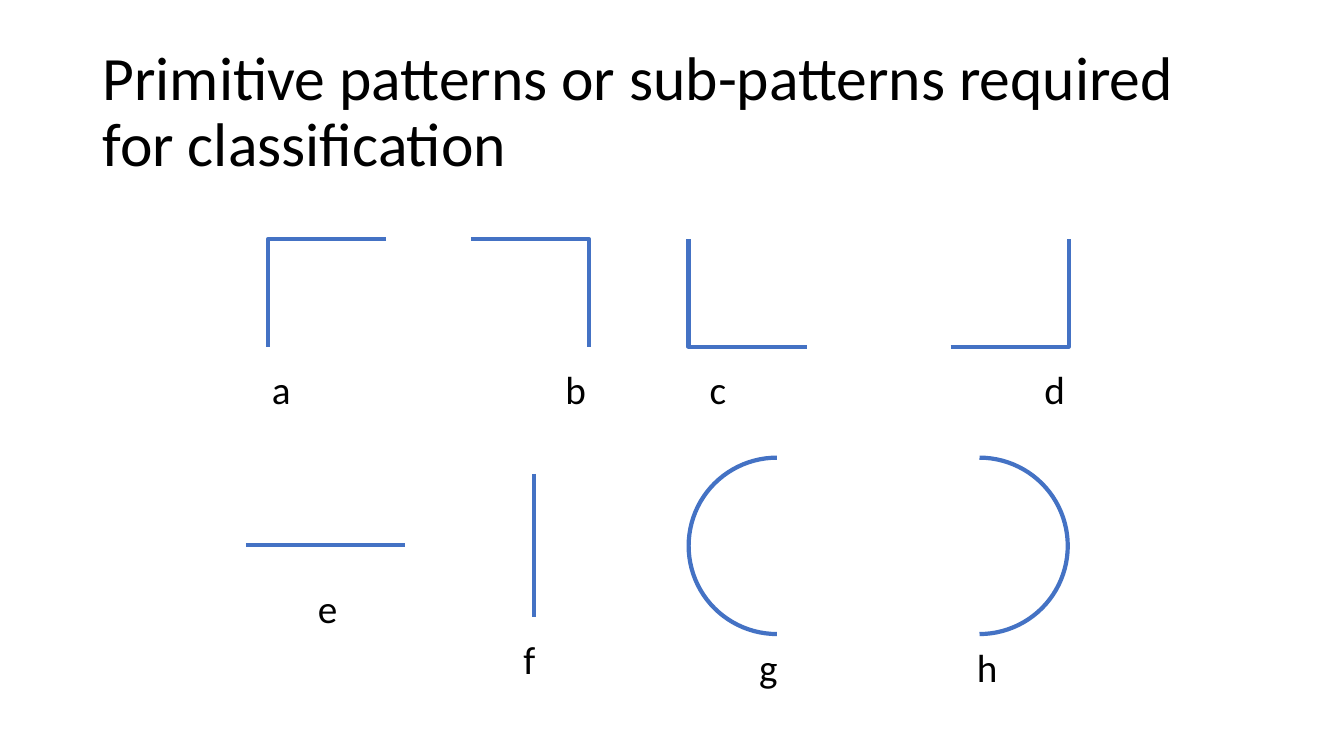
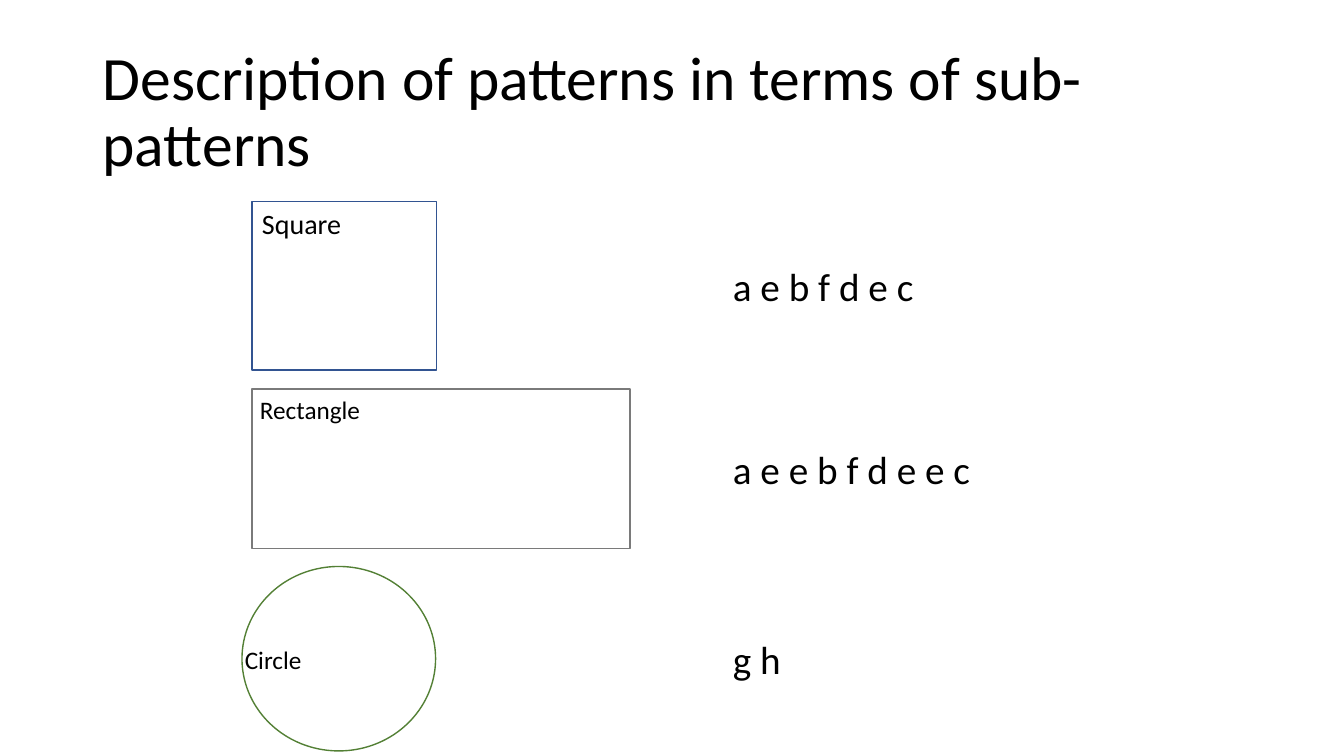
from typing import NamedTuple

from lxml import etree
from pptx import Presentation
from pptx.dml.color import RGBColor
from pptx.enum.shapes import MSO_CONNECTOR, MSO_SHAPE
from pptx.enum.text import MSO_ANCHOR, MSO_AUTO_SIZE, PP_ALIGN
from pptx.oxml.ns import qn
from pptx.util import Inches, Pt

LEFT, CENTER = PP_ALIGN.LEFT, PP_ALIGN.CENTER
MIDDLE, TOP = MSO_ANCHOR.MIDDLE, MSO_ANCHOR.TOP
FIT_SHAPE, NO_FIT = MSO_AUTO_SIZE.SHAPE_TO_FIT_TEXT, MSO_AUTO_SIZE.NONE
RECTANGLE, OVAL, ARC = MSO_SHAPE.RECTANGLE, MSO_SHAPE.OVAL, MSO_SHAPE.ARC
STRAIGHT = MSO_CONNECTOR.STRAIGHT

# Shared style
FONT = "Calibri"
BLACK, BLUE = "000000", "4472C4"
DARK_BLUE, GRAY, GREEN = "325491", "7A7A7A", "538035"
STROKE_WIDTH, OUTLINE_WIDTH = 3, 1
TITLE_SIZE, LABEL_SIZE = 44, 28
LABEL_WIDTH, LABEL_HEIGHT = 0.58, 0.57

# Primitive patterns
ARM_X, ARM_Y = 1.17, 1.07
CORNER_TOP = 2.37
CORNER_BOTTOM = CORNER_TOP + ARM_Y
ARC_TOP, ARC_DIAMETER = 4.54, 1.75
ARC_UNITS_PER_DEGREE = 0.6  # arc angles in 60000ths, adjustments in 100000ths

# Descriptions
DESCRIPTION_LEFT, DESCRIPTION_WIDTH = 7.17, 3.75
NAME_WIDTH = 2.42


class Corner(NamedTuple):
    x: float
    y: float
    arm_x: float
    arm_y: float


class Stroke(NamedTuple):
    start_x: float
    start_y: float
    end_x: float
    end_y: float


class HalfCircle(NamedTuple):
    left: float
    start_degrees: int
    end_degrees: int


class Label(NamedTuple):
    text: str
    left: float
    top: float


class Pattern(NamedTuple):
    kind: int
    box: tuple[float, float, float, float]
    color: str
    name: str
    name_left: float
    name_top: float
    name_height: float
    name_size: int
    description: str
    description_top: float


CORNERS = [
    Corner(2.66, CORNER_TOP, ARM_X, ARM_Y),
    Corner(5.84, CORNER_TOP, -ARM_X, ARM_Y),
    Corner(6.83, CORNER_BOTTOM, ARM_X, -ARM_Y),
    Corner(10.6, CORNER_BOTTOM, -ARM_X, -ARM_Y),
]
STROKES = [Stroke(2.44, 5.41, 4.02, 5.41), Stroke(5.3, 4.7, 5.3, 6.12)]
HALF_CIRCLES = [HalfCircle(6.83, 90, 270), HalfCircle(8.84, 270, 90)]
LABELS = [
    Label("a", 2.5, 3.58),
    Label("b", 5.42, 3.58),
    Label("c", 6.83, 3.58),
    Label("d", 10.17, 3.58),
    Label("e", 2.96, 5.75),
    Label("f", 4.96, 6.25),
    Label("g", 7.33, 6.33),
    Label("h", 9.5, 6.33),
]
PATTERNS = [
    Pattern(RECTANGLE, (2.5, 2, 1.83, 1.67), DARK_BLUE,
            "Square", 2.5, 2, 0.44, 20, "a e b f d e c", 2.55),
    Pattern(RECTANGLE, (2.5, 3.86, 3.75, 1.58), GRAY,
            "Rectangle", 2.48, 3.86, 0.4, 18, "a e e b f d e e c", 4.37),
    Pattern(OVAL, (2.4, 5.62, 1.92, 1.83), GREEN,
            "Circle", 2.33, 6.34, 0.4, 18, "g h", 6.25),
]


def rgb(color: str) -> RGBColor:
    return RGBColor.from_string(color)


def set_line(line, color: str, width: float) -> None:
    line.color.rgb = rgb(color)
    line.width = Pt(width)


def outline(shape, color: str, width: float) -> None:
    shape.shadow.inherit = False
    shape.fill.background()
    set_line(shape.line, color, width)


def add_text(slide, text: str, left: float, top: float, width: float, height: float,
             size: int, alignment=LEFT, anchor=TOP, fit=FIT_SHAPE):
    box = slide.shapes.add_textbox(Inches(left), Inches(top), Inches(width), Inches(height))
    frame = box.text_frame
    frame.word_wrap = True
    frame.auto_size = fit
    frame.vertical_anchor = anchor
    paragraph = frame.paragraphs[0]
    paragraph.text = text
    paragraph.alignment = alignment
    paragraph.font.name = FONT
    paragraph.font.size = Pt(size)
    paragraph.font.color.rgb = rgb(BLACK)
    return paragraph


def add_titled_slide(presentation, title: str):
    slide = presentation.slides.add_slide(presentation.slide_layouts[6])
    paragraph = add_text(slide, title, 0.92, 0.4, 11.5, 1.45, TITLE_SIZE,
                         anchor=MIDDLE, fit=NO_FIT)
    paragraph.line_spacing = 0.9
    return slide


def add_corner(slide, corner: Corner) -> None:
    x, y = Inches(corner.x), Inches(corner.y)
    builder = slide.shapes.build_freeform(x + Inches(corner.arm_x), y)
    builder.add_line_segments([(x, y), (x, y + Inches(corner.arm_y))], close=False)
    outline(builder.convert_to_shape(), BLUE, STROKE_WIDTH)


def add_stroke(slide, stroke: Stroke) -> None:
    connector = slide.shapes.add_connector(STRAIGHT, *(Inches(value) for value in stroke))
    set_line(connector.line, BLUE, STROKE_WIDTH)
    etree.SubElement(connector._element.spPr, qn("a:effectLst"))


def add_half_circle(slide, half: HalfCircle) -> None:
    shape = slide.shapes.add_shape(ARC, Inches(half.left), Inches(ARC_TOP),
                                   Inches(ARC_DIAMETER), Inches(ARC_DIAMETER))
    shape.adjustments[0] = half.start_degrees * ARC_UNITS_PER_DEGREE
    shape.adjustments[1] = half.end_degrees * ARC_UNITS_PER_DEGREE
    outline(shape, BLUE, STROKE_WIDTH)


def add_pattern(slide, pattern: Pattern) -> None:
    shape = slide.shapes.add_shape(pattern.kind, *(Inches(value) for value in pattern.box))
    outline(shape, pattern.color, OUTLINE_WIDTH)
    add_text(slide, pattern.name, pattern.name_left, pattern.name_top,
             NAME_WIDTH, pattern.name_height, pattern.name_size)
    add_text(slide, pattern.description, DESCRIPTION_LEFT, pattern.description_top,
             DESCRIPTION_WIDTH, LABEL_HEIGHT, LABEL_SIZE)


def build_primitives(presentation) -> None:
    slide = add_titled_slide(
        presentation, "Primitive patterns or sub-patterns required for classification")
    for corner in CORNERS:
        add_corner(slide, corner)
    for stroke in STROKES:
        add_stroke(slide, stroke)
    for half in HALF_CIRCLES:
        add_half_circle(slide, half)
    for label in LABELS:
        add_text(slide, label.text, label.left, label.top,
                 LABEL_WIDTH, LABEL_HEIGHT, LABEL_SIZE, CENTER)


def build_descriptions(presentation) -> None:
    slide = add_titled_slide(presentation, "Description of patterns in terms of sub-patterns")
    for pattern in PATTERNS:
        add_pattern(slide, pattern)


def main() -> None:
    presentation = Presentation()
    presentation.slide_width = Inches(13.33)
    presentation.slide_height = Inches(7.5)
    build_primitives(presentation)
    build_descriptions(presentation)
    presentation.save("out.pptx")


if __name__ == "__main__":
    main()
